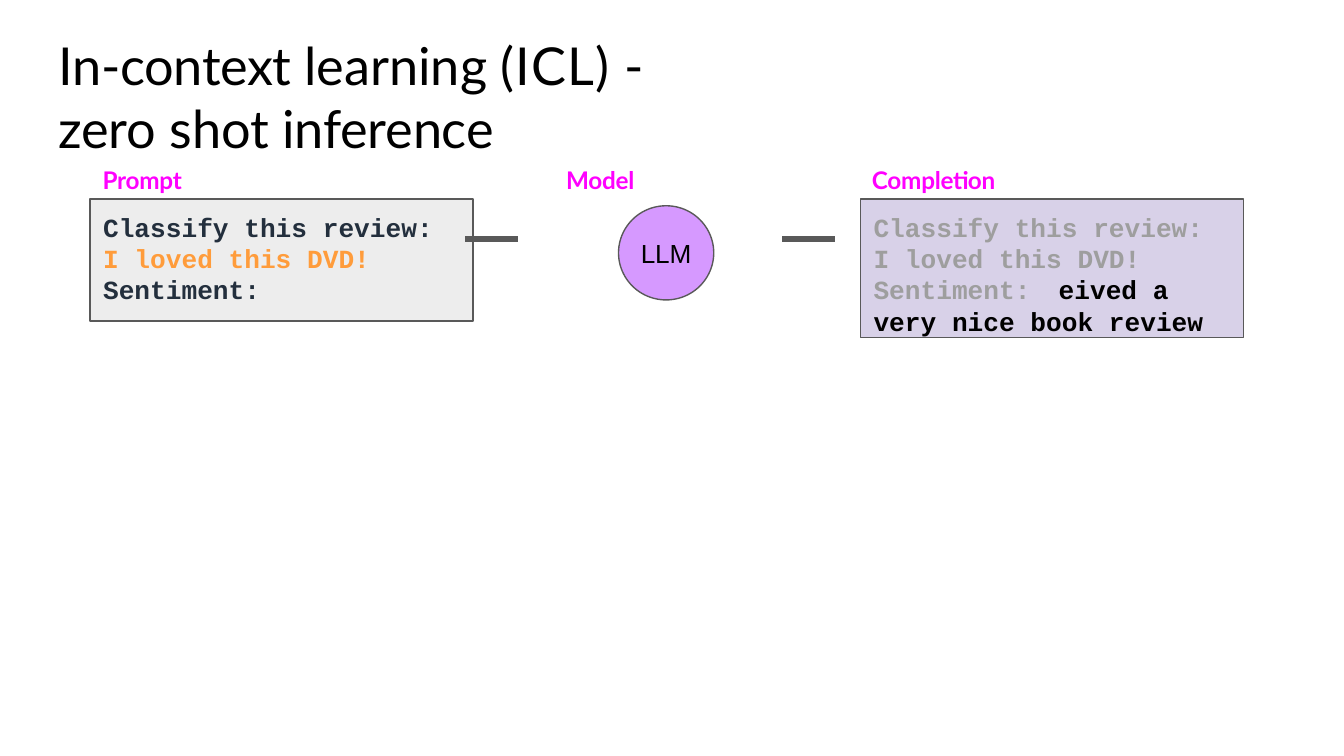
from lxml.etree import SubElement
from pptx import Presentation
from pptx.dml.color import RGBColor
from pptx.enum.shapes import MSO_CONNECTOR as Connector, MSO_SHAPE as Shape
from pptx.enum.text import MSO_ANCHOR as Anchor, PP_ALIGN as Align
from pptx.oxml.ns import qn
from pptx.util import Cm, Pt

GREY, BLACK, MAGENTA = "595959", "000000", "FF00FF"
INK, ORANGE, FADED = "232F3D", "FF9C3B", "9E9E9E"
PANEL_TOP, PANEL_WIDTH = 3.76, 7.24
LABEL_TOP, LABEL_HEIGHT = 3.1, 0.58
LINK_Y, LINK_LENGTH = 4.52, 1


def color(value):
    return RGBColor.from_string(value)


def set_frame(frame, left=0, top=0.02, right=0, anchor=Anchor.TOP):
    frame.word_wrap = True
    frame.vertical_anchor = anchor
    frame.margin_left, frame.margin_top = Cm(left), Cm(top)
    frame.margin_right, frame.margin_bottom = Cm(right), Cm(0)


def add_span(para, text, font, size, ink, bold=False, spacing=0):
    span = para.add_run()
    span.text = text
    span.font.name, span.font.size, span.font.bold = font, Pt(size), bold
    span.font.color.rgb = color(ink)
    if spacing:
        span._r.get_or_add_rPr().set("spc", str(round(spacing * 100)))


def add_tab(para, position):
    tabs = SubElement(para._p.get_or_add_pPr(), qn("a:tabLst"))
    SubElement(tabs, qn("a:tab"), pos=str(Cm(position)), algn="l")


def add_text(page, left, top, width, height, spans, font, size, ink, bold=False):
    box = page.shapes.add_textbox(Cm(left), Cm(top), Cm(width), Cm(height))
    set_frame(box.text_frame)
    para = box.text_frame.paragraphs[0]
    for text, spacing in spans:
        add_span(para, text, font, size, ink, bold, spacing)


def add_outlined(page, kind, left, top, width, height, fill):
    shape = page.shapes.add_shape(kind, Cm(left), Cm(top), Cm(width), Cm(height))
    shape.shadow.inherit = False
    shape.fill.solid()
    shape.fill.fore_color.rgb = color(fill)
    shape.line.color.rgb = color(GREY)
    shape.line.width = Pt(0.75)
    return shape


def add_panel(page, left, height, fill, lines):
    """Rectangle with monospaced text; each line is a list of (text, color)."""
    panel = add_outlined(page, Shape.RECTANGLE, left, PANEL_TOP,
                         PANEL_WIDTH, height, fill)
    frame = panel.text_frame
    set_frame(frame, left=0.25, top=0.23, right=0.5)
    for index, line in enumerate(lines):
        para = frame.add_paragraph() if index else frame.paragraphs[0]
        para.alignment = Align.LEFT
        if any("\t" in text for text, _ in line):
            add_tab(para, 3.5)
        for text, ink in line:
            add_span(para, text, "Courier New", 14, ink, True)


def add_model(page):
    circle = add_outlined(page, Shape.OVAL, 11.69, 3.89, 1.8, 1.78, "D699FF")
    set_frame(circle.text_frame, anchor=Anchor.MIDDLE)
    para = circle.text_frame.paragraphs[0]
    para.alignment = Align.CENTER
    add_span(para, "LLM", "Arial", 14, BLACK, spacing=-0.1)


def add_link(page, left):
    link = page.shapes.add_connector(Connector.STRAIGHT, Cm(left), Cm(LINK_Y),
                                     Cm(left + LINK_LENGTH), Cm(LINK_Y))
    link.line.color.rgb = color(GREY)
    link.line.width = Pt(3)
    SubElement(link._element.spPr, qn("a:effectLst"))


def main():
    deck = Presentation()
    deck.slide_width, deck.slide_height = Cm(25.4), Cm(14.29)
    page = deck.slides.add_slide(deck.slide_layouts[6])

    # Title
    title = [("In-", -0.1), ("context ", -0.2), ("learning ", 0), ("(ICL) ", 0.6),
             ("- ", -0.8), ("zero shot ", 0), ("inference", -0.1)]
    add_text(page, 1.1, 0.61, 11.17, 2.44, title, "Lato", 28, BLACK)

    # Prompt, model and completion
    add_panel(page, 1.7, 2.31, "EDEDED", [
        [("Classify this review: ", INK), ("I loved this DVD!", ORANGE)],
        [("Sentiment:", INK)]])
    add_model(page)
    add_panel(page, 16.26, 2.62, "D8D1E8", [
        [("Classify this review: I loved this DVD!", FADED)],
        [("Sentiment:\t", FADED), ("eived a very nice book review", BLACK)]])

    # Links between the stages
    for left in (8.79, 14.78):
        add_link(page, left)

    # Stage labels
    for text, left, width in (("Prompt", 1.94, 1.6), ("Model", 10.7, 1.35),
                              ("Completion", 16.48, 2.43)):
        add_text(page, left, LABEL_TOP, width, LABEL_HEIGHT, [(text, -0.1)],
                 "Lato", 13, MAGENTA, True)

    deck.save("out.pptx")


if __name__ == "__main__":
    main()
